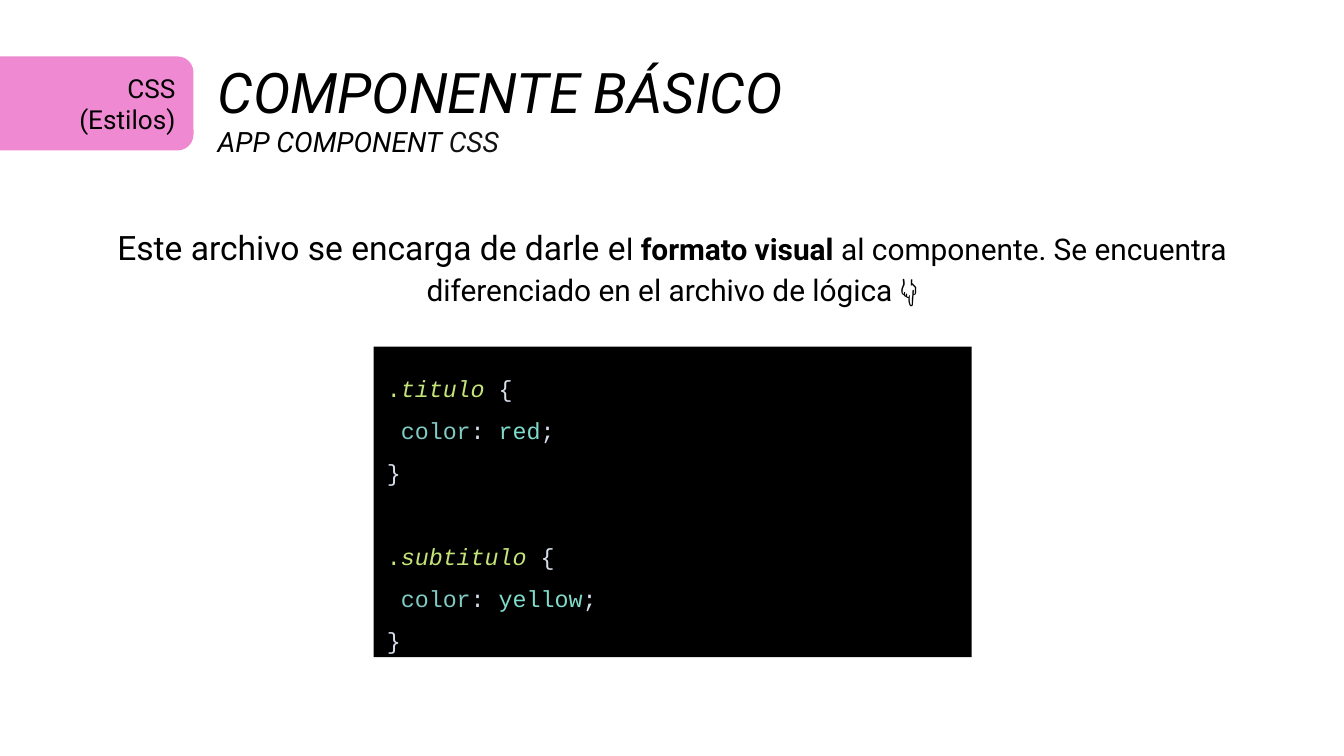
from pptx import Presentation
from pptx.dml.color import RGBColor
from pptx.enum.shapes import MSO_SHAPE
from pptx.enum.text import MSO_ANCHOR, MSO_AUTO_SIZE, PP_ALIGN
from pptx.util import Inches, Pt

LEFT, CENTER, RIGHT = PP_ALIGN.LEFT, PP_ALIGN.CENTER, PP_ALIGN.RIGHT
TOP, MIDDLE = MSO_ANCHOR.TOP, MSO_ANCHOR.MIDDLE
RECTANGLE, ROUNDED = MSO_SHAPE.RECTANGLE, MSO_SHAPE.ROUNDED_RECTANGLE
NO_AUTOFIT = MSO_AUTO_SIZE.NONE

BLACK = RGBColor(0x00, 0x00, 0x00)
NEAR_BLACK = RGBColor(0x12, 0x12, 0x12)
PINK = RGBColor(0xEF, 0x89, 0xD2)
SELECTOR = RGBColor(0xC5, 0xE4, 0x78)
PUNCTUATION = RGBColor(0xD6, 0xDE, 0xEB)
PROPERTY = RGBColor(0x80, 0xCB, 0xC4)
VALUE = RGBColor(0x7F, 0xDB, 0xCA)

BODY_FONT, CODE_FONT = "Roboto", "Courier New"
CODE_SIZE = 12.5
CODE_LINE_PITCH = Pt(22.5)


def add_run(para, text, size, color=BLACK, font=BODY_FONT, bold=False, italic=False):
    span = para.add_run()
    span.text = text
    span.font.name = font
    span.font.size = Pt(size)
    span.font.color.rgb = color
    span.font.bold = bold
    span.font.italic = italic


def add_paragraph(frame, first, align=LEFT, spacing=1.0):
    para = frame.paragraphs[0] if first else frame.add_paragraph()
    para.alignment = align
    para.line_spacing = spacing
    return para


def prepare_frame(box, anchor=TOP):
    frame = box.text_frame
    frame.word_wrap = True
    frame.auto_size = NO_AUTOFIT
    frame.vertical_anchor = anchor
    frame.margin_left = frame.margin_right = Inches(0.1)
    frame.margin_top = frame.margin_bottom = Inches(0.1)
    return frame


def add_panel(page, kind, left, top, width, height, fill):
    panel = page.shapes.add_shape(
        kind, Inches(left), Inches(top), Inches(width), Inches(height))
    panel.shadow.inherit = False
    panel.fill.solid()
    panel.fill.fore_color.rgb = fill
    panel.line.fill.background()
    return panel


def fill_title(page):
    title = page.shapes.title
    title.left, title.top = Inches(1.52), Inches(0.33)
    title.width, title.height = Inches(4.51), Inches(0.79)
    frame = prepare_frame(title)
    add_run(add_paragraph(frame, True), "COMPONENTE BÁSICO", 30, italic=True)
    subtitle = add_paragraph(frame, False)
    add_run(subtitle, "APP COMPONENT ", 15, italic=True)
    add_run(subtitle, "CSS", 15, NEAR_BLACK, italic=True)


def add_tag(page):
    tag = add_panel(page, ROUNDED, -0.17, 0.42, 1.61, 0.7, PINK)
    tag.adjustments[0] = 0.17
    frame = prepare_frame(tag, MIDDLE)
    for index, text in enumerate(("CSS", "(Estilos)")):
        add_run(add_paragraph(frame, index == 0, RIGHT), text, 14)


def add_description(page):
    box = page.shapes.add_textbox(Inches(0.44), Inches(1.54), Inches(9.12), Inches(0.82))
    para = add_paragraph(prepare_frame(box), True, CENTER, 1.15)
    add_run(para, "Este archivo se encarga de darle e", 18)
    add_run(para, "l", 16)
    add_run(para, " formato visual ", 16, bold=True)
    add_run(para, "al componente. Se encuentra diferenciado en el archivo de lógica 👇", 16)


def add_code_line(frame, first, tokens):
    para = add_paragraph(frame, first, spacing=1.5)
    for text, color, italic in tokens:
        add_run(para, text, CODE_SIZE, color, CODE_FONT, italic=italic)
    return para


def add_css_rule(frame, first, name, color_value):
    """Write one class rule, set apart by a line's height from the one before."""
    opening = add_code_line(frame, first, [
        (".", SELECTOR, False), (name, SELECTOR, True), (" {", PUNCTUATION, False)])
    if not first:
        opening.space_before = CODE_LINE_PITCH
    add_code_line(frame, False, [
        (" ", PUNCTUATION, False), ("color", PROPERTY, False), (": ", PUNCTUATION, False),
        (color_value, VALUE, False), (";", PUNCTUATION, False)])
    add_code_line(frame, False, [("}", PUNCTUATION, False)])


def add_code(page):
    panel = add_panel(page, RECTANGLE, 2.78, 2.58, 4.45, 2.31, BLACK)
    frame = prepare_frame(panel)
    add_css_rule(frame, True, "titulo", "red")
    add_css_rule(frame, False, "subtitulo", "yellow")


def main():
    deck = Presentation()
    deck.slide_width = Inches(10)
    deck.slide_height = Inches(10) * 9 // 16
    page = deck.slides.add_slide(deck.slide_layouts.get_by_name("Title Only"))
    fill_title(page)
    add_tag(page)
    add_description(page)
    add_code(page)
    deck.save("out.pptx")


if __name__ == "__main__":
    main()
